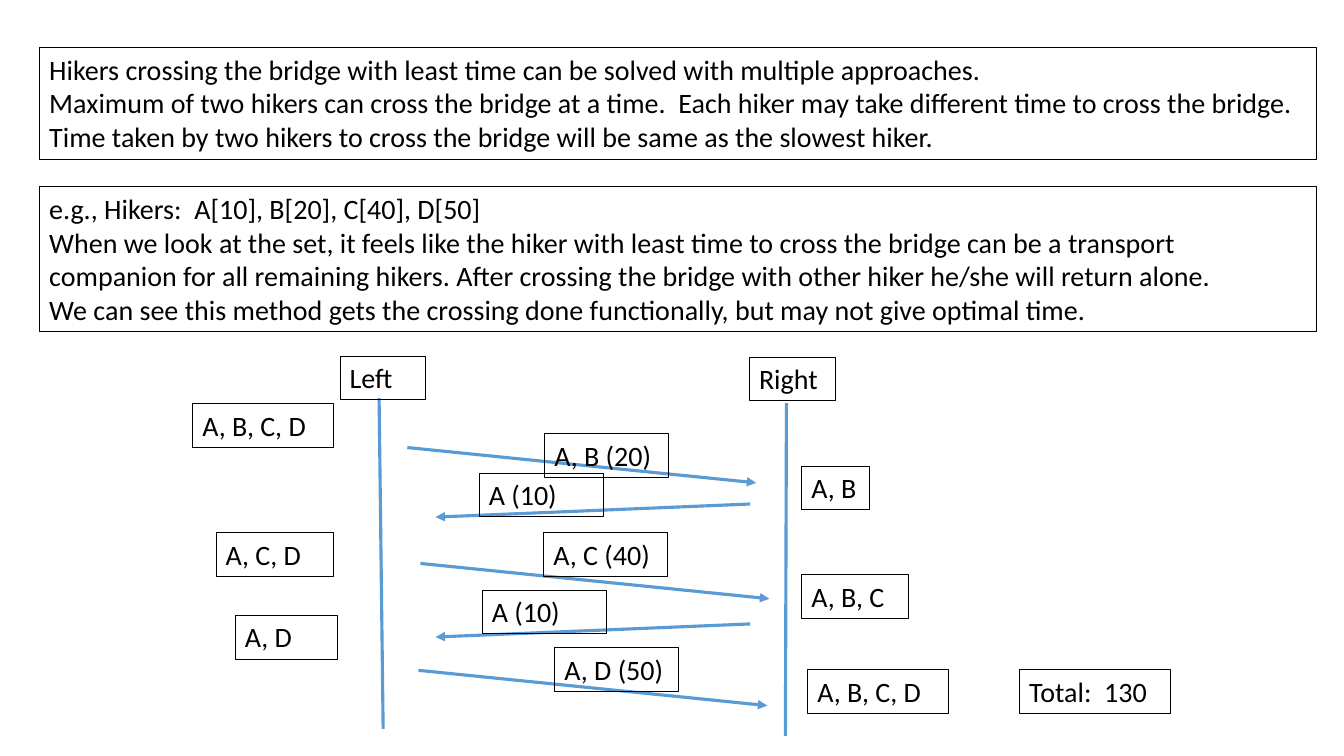
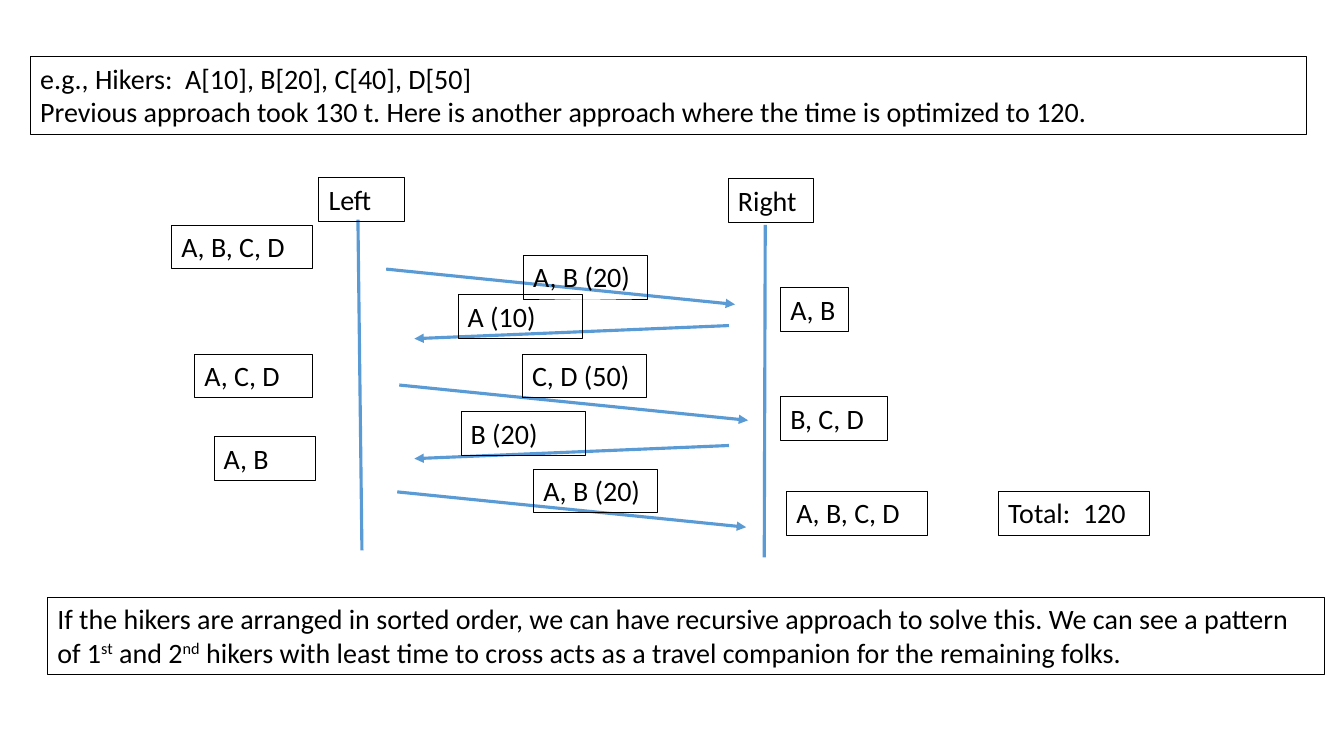
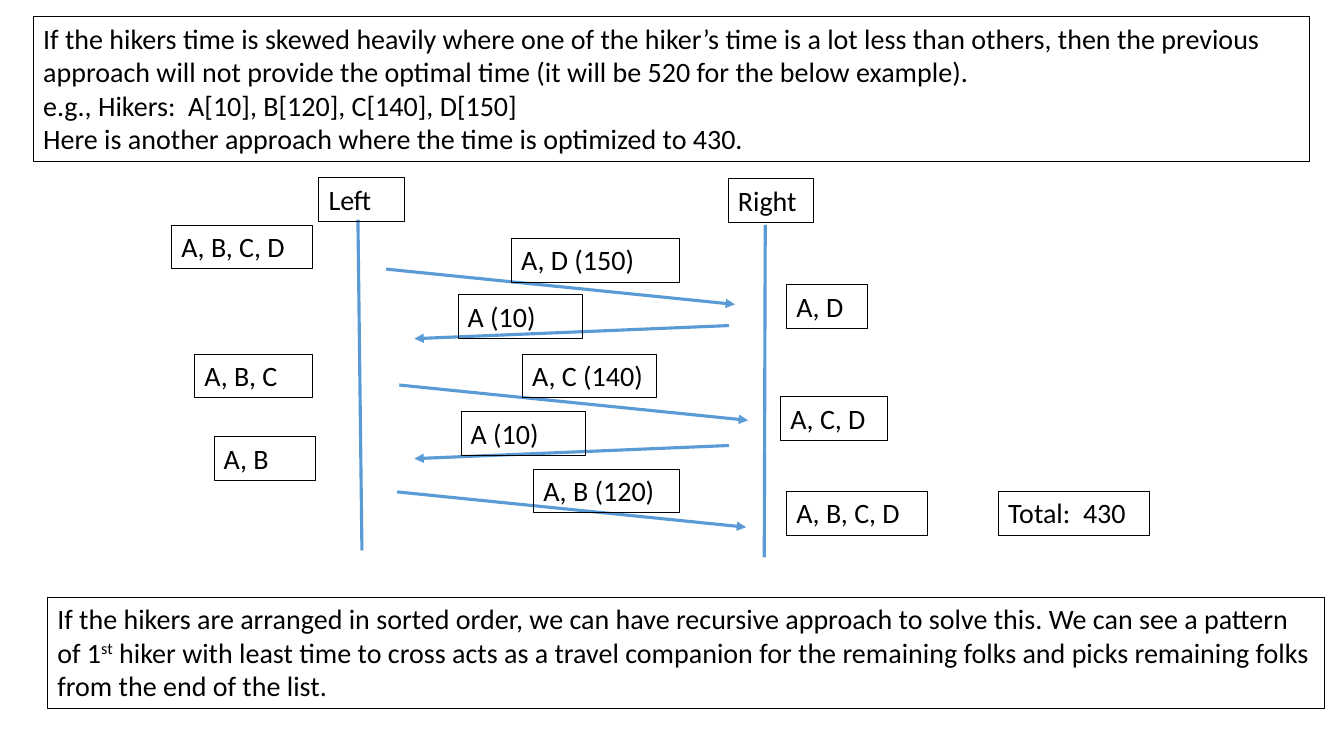
from pptx import Presentation
from pptx.dml.color import RGBColor
from pptx.enum.shapes import MSO_CONNECTOR as CONN
from pptx.enum.text import MSO_AUTO_SIZE as AUTO
from pptx.oxml.ns import qn
from pptx.util import Inches, Pt
from lxml.etree import SubElement

BLACK = RGBColor(0x00, 0x00, 0x00)
BLUE = RGBColor(0x5B, 0x9B, 0xD5)
FONT, SIZE = "Calibri", Pt(20)
NOTE_W = 12.66

# Places inside the diagram, measured from its own corner
BANKS = [("Left", 1.46, 0, (1.85, 0.42), (1.89, 3.7)),
         ("Right", 5.52, 0.01, (5.89, 0.47), (5.88, 3.77))]
TRIP, RETURN = (3.46, 0.35), (-3.12, 0.13)
CROSSINGS = [(2.13, 0.91, TRIP), (5.53, 1.47, RETURN), (2.26, 2.06, TRIP),
             (5.53, 2.66, RETURN), (2.24, 3.12, TRIP)]
LABELS = [(3.49, 0.77, 1.23), (2.84, 1.16, 1.23), (3.48, 1.75, 1.23),
          (2.87, 2.32, 1.23), (3.59, 2.89, 1.23)]
LEFT_GROUPS = [(0, 0.47, 1.4), (0.23, 1.75, 1.17), (0.42, 2.57, 1.01)]
RIGHT_GROUPS = [(6.04, 1.09, 0.67), (6.04, 2.17, 1.06), (6.1, 3.11, 1.4)]
TOTAL = (8.2, 3.11, 1.5)

# Wider labels for three-digit times
WIDE_LABELS = [(3.37, 0.6, 1.67), LABELS[1], (3.48, 1.75, 1.33),
               LABELS[3], (3.59, 2.89, 1.45)]
WIDE_RIGHT = [(6.1, 1.06, 0.8)] + RIGHT_GROUPS[1:]


def add_box(slide, x, y, w, paragraphs, lines=1):
    """Outlined text; every second run of a paragraph is superscript."""
    sp = slide.shapes.add_textbox(Inches(x), Inches(y), Inches(w),
                                  Inches(0.1 + 0.335 * lines))
    sp.line.color.rgb = BLACK
    sp.line.width = Pt(0.25)
    tf = sp.text_frame
    tf.word_wrap = True
    tf.auto_size = AUTO.SHAPE_TO_FIT_TEXT
    for i, runs in enumerate(paragraphs):
        p = tf.add_paragraph() if i else tf.paragraphs[0]
        for j, text in enumerate(runs):
            r = p.add_run()
            r.text = text
            r.font.name, r.font.size = FONT, SIZE
            r.font.color.rgb = BLACK
            if j % 2:
                r.font._element.set("baseline", "30000")


def add_line(slide, start, end, arrow=False):
    ends = [Inches(v) for v in (*start, *end)]
    line = slide.shapes.add_connector(CONN.STRAIGHT, *ends)
    line.line.color.rgb = BLUE
    line.line.width = Pt(2.25)
    if arrow:
        SubElement(line.line._get_or_add_ln(), qn("a:tailEnd"), type="triangle")
    SubElement(line._element.spPr, qn("a:effectLst"))


def add_note(slide, x, y, lines, *paragraphs):
    add_box(slide, x, y, NOTE_W, paragraphs, lines)


def add_diagram(slide, x, y, left, crossings, right, total,
                labels=LABELS, right_groups=RIGHT_GROUPS):
    # Banks
    for name, bx, by, start, end in BANKS:
        add_line(slide, (x + start[0], y + start[1]), (x + end[0], y + end[1]))
        add_box(slide, x + bx, y + by, 0.85, [(name,)])
    # Crossings
    for cx, cy, (dx, dy) in CROSSINGS:
        add_line(slide, (x + cx, y + cy), (x + cx + dx, y + cy + dy), arrow=True)
    # Hikers on the bridge and on each bank, then the total time
    places = labels + LEFT_GROUPS + right_groups + [TOTAL]
    texts = crossings + left + right + [f"Total:  {total}"]
    for (bx, by, w), text in zip(places, texts):
        add_box(slide, x + bx, y + by, w, [(text,)])


def main():
    prs = Presentation()
    prs.slide_width, prs.slide_height = Inches(13.33), Inches(7.5)
    blank = prs.slide_layouts[6]
    hikers = "e.g., Hikers:  A[10], B[20], C[40], D[50]"
    pattern = ("If the hikers are arranged in sorted order, we can have recursive "
               "approach to solve this. We can see a pattern of 1")

    # Fastest hiker escorts everyone
    s = prs.slides.add_slide(blank)
    add_note(s, 0.39, 0.47, 3,
             ("Hikers crossing the bridge with least time can be solved with "
              "multiple approaches.",),
             ("Maximum of two hikers can cross the bridge at a time.  Each hiker "
              "may take different time to cross the bridge.",),
             ("Time taken by two hikers to cross the bridge will be same as the "
              "slowest hiker.",))
    add_note(s, 0.39, 1.85, 4, (hikers,),
             ("When we look at the set, it feels like the hiker with least time to "
              "cross the bridge can be a transport companion for all remaining "
              "hikers. After crossing the bridge with other hiker he/she will "
              "return alone.",),
             ("We can see this method gets the crossing done functionally, but may "
              "not give optimal time.",))
    add_diagram(s, 1.91, 3.53, ["A, B, C, D", "A, C, D", "A, D"],
                ["A, B (20)", "A (10)", "A, C (40)", "A (10)", "A, D (50)"],
                ["A, B", "A, B, C", "A, B, C, D"], 130)

    # Two fastest hikers share the returns
    s = prs.slides.add_slide(blank)
    add_note(s, 0.3, 0.56, 2, (hikers,),
             ("Previous approach took 130 t. Here is another approach where the "
              "time is optimized to 120.",))
    add_diagram(s, 1.7, 1.76, ["A, B, C, D", "A, C, D", "A, B"],
                ["A, B (20)", "A (10)", "C, D (50)", "B (20)", "A, B (20)"],
                ["A, B", "B, C, D", "A, B, C, D"], 120)
    add_note(s, 0.47, 5.92, 2,
             (pattern, "st", " and 2", "nd", " hikers with least time to cross acts "
              "as a travel companion for the remaining folks."))

    # Skewed times
    s = prs.slides.add_slide(blank)
    add_note(s, 0.33, 0.16, 4,
             ("If the hikers time is skewed heavily where one of the hiker’s time "
              "is a lot less than others, then the previous approach will not "
              "provide the optimal time (it will be 520 for the below example).",),
             ("e.g., Hikers:  A[10], B[120], C[140], D[150]",),
             ("Here is another approach where the time is optimized to 430.",))
    add_diagram(s, 1.7, 1.76, ["A, B, C, D", "A, B, C", "A, B"],
                ["A, D (150)", "A (10)", "A, C (140)", "A (10)", "A, B (120)"],
                ["A, D", "A, C, D", "A, B, C, D"], 430, WIDE_LABELS, WIDE_RIGHT)
    add_note(s, 0.47, 5.92, 3,
             (pattern, "st", " hiker with least time to cross acts as a travel "
              "companion for the remaining folks and picks remaining folks from "
              "the end of the list."))

    prs.save("out.pptx")


if __name__ == "__main__":
    main()
